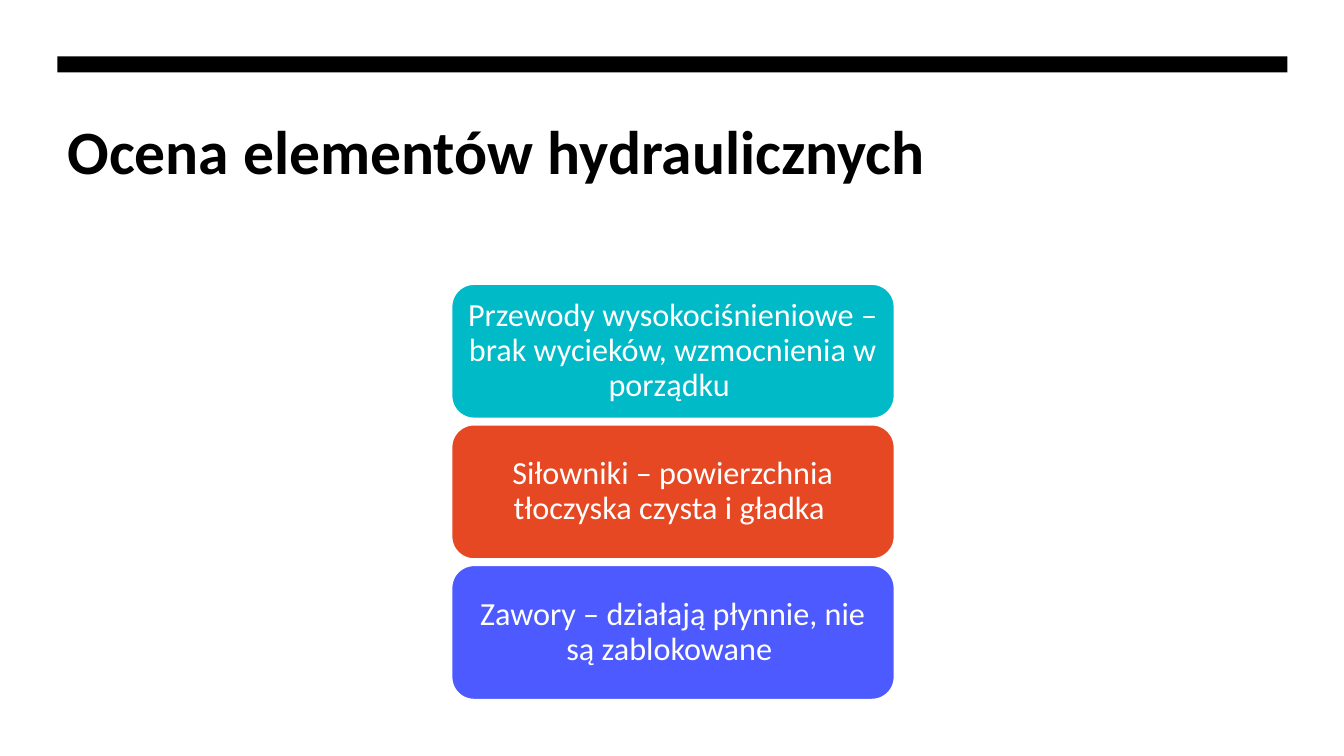
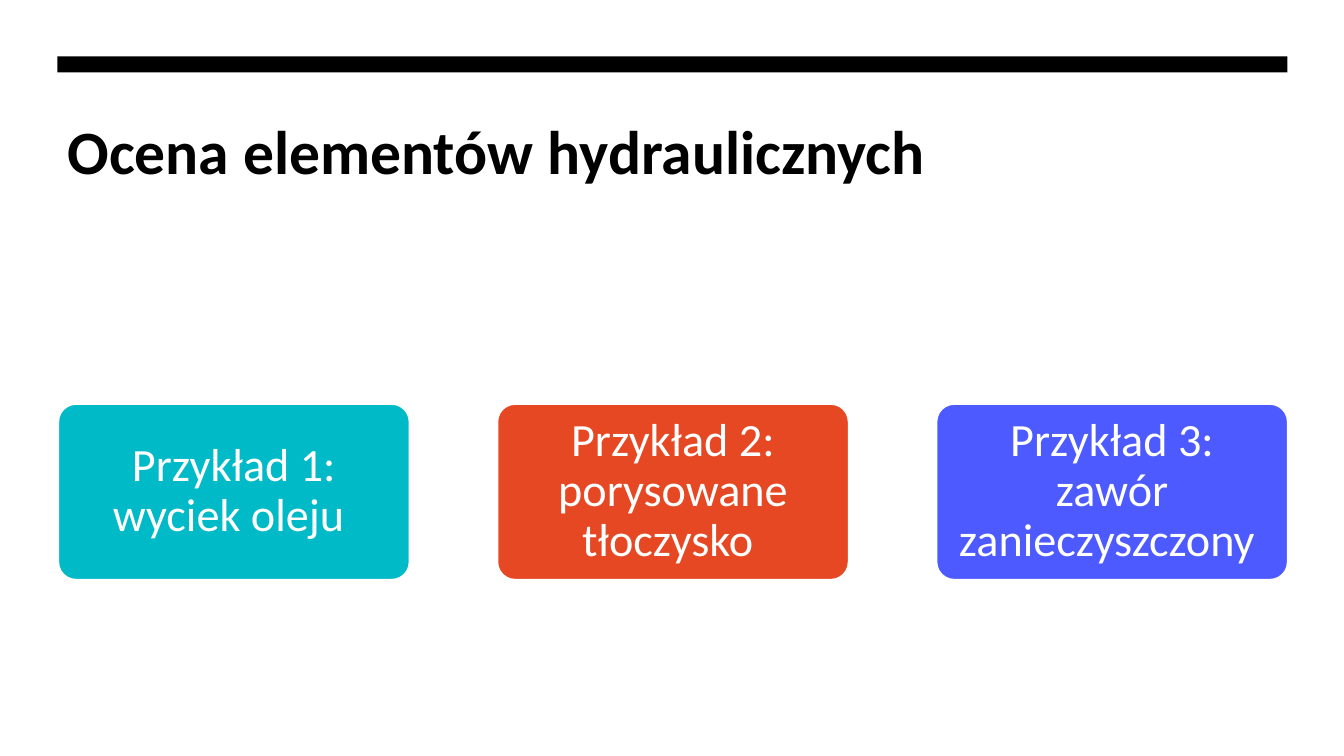
from pptx import Presentation
from pptx.dml.color import RGBColor
from pptx.enum.shapes import MSO_SHAPE
from pptx.enum.text import MSO_ANCHOR, MSO_AUTO_SIZE, PP_ALIGN
from pptx.util import Inches, Pt

# Content
TITLE = "Ocena elementów hydraulicznych"
CHECKS = [
    "Przewody wysokociśnieniowe – brak wycieków, wzmocnienia w porządku ",
    "Siłowniki – powierzchnia tłoczyska czysta i gładka ",
    "Zawory – działają płynnie, nie są zablokowane ",
]
EXAMPLES = [
    "Przykład 1: wyciek oleju ",
    "Przykład 2: porysowane tłoczysko ",
    "Przykład 3: zawór zanieczyszczony ",
]

# Each layout: first card's corner, card size, step to the next card
SLIDES = [
    dict(cards=CHECKS, start=(4.48, 2.82), size=(4.39, 1.33), step=(0, 1.395),
         corner=0.1667, font_size=23, side_inset=0.1),
    dict(cards=EXAMPLES, start=(0.58, 4.01), size=(3.48, 1.74), step=(4.355, 0),
         corner=0.1, font_size=33, side_inset=0.07),
]

# Shared style
FONT = "Calibri"
BLACK, WHITE = "000000", "FFFFFF"
CARD_COLOURS = ["00BAC8", "E64823", "4D5AFF"]
MARGIN, CONTENT_WIDTH = 0.57, 12.2


def colour(hex_code):
    return RGBColor.from_string(hex_code)


def write(paragraph, text, size, hex_code, bold=False):
    run = paragraph.add_run()
    run.text = text
    run.font.name = FONT
    run.font.size = Pt(size)
    run.font.bold = bold
    run.font.color.rgb = colour(hex_code)


def add_block(slide, preset, left, top, width, height, fill):
    block = slide.shapes.add_shape(
        preset, Inches(left), Inches(top), Inches(width), Inches(height))
    block.shadow.inherit = False
    block.fill.solid()
    block.fill.fore_color.rgb = colour(fill)
    block.line.fill.background()
    return block


def add_heading(slide):
    title = slide.shapes.title
    title.left, title.top = Inches(MARGIN), Inches(1.07)
    title.width, title.height = Inches(CONTENT_WIDTH), Inches(1.6)
    frame = title.text_frame
    frame.auto_size = MSO_AUTO_SIZE.NONE
    frame.vertical_anchor = MSO_ANCHOR.TOP
    frame.paragraphs[0].alignment = PP_ALIGN.LEFT
    write(frame.paragraphs[0], TITLE, 44, BLACK, bold=True)
    add_block(slide, MSO_SHAPE.RECTANGLE, MARGIN, 0.56, CONTENT_WIDTH, 0.16, BLACK)


def add_cards(slide, cards, start, size, step, corner, font_size, side_inset):
    for index, (text, fill) in enumerate(zip(cards, CARD_COLOURS)):
        left = start[0] + index * step[0]
        top = start[1] + index * step[1]
        card = add_block(slide, MSO_SHAPE.ROUNDED_RECTANGLE, left, top, *size, fill)
        card.adjustments[0] = corner
        card.line.color.rgb = colour(WHITE)
        card.line.width = Pt(1)
        frame = card.text_frame
        frame.word_wrap = True
        frame.vertical_anchor = MSO_ANCHOR.MIDDLE
        frame.margin_left = frame.margin_right = Inches(side_inset)
        frame.margin_top = frame.margin_bottom = Inches(0.05)
        paragraph = frame.paragraphs[0]
        paragraph.alignment = PP_ALIGN.CENTER
        paragraph.line_spacing = 0.9
        write(paragraph, text, font_size, WHITE)


def main():
    deck = Presentation()
    deck.slide_width, deck.slide_height = Inches(13.33), Inches(7.5)
    title_only = deck.slide_layouts[5]
    for content in SLIDES:
        slide = deck.slides.add_slide(title_only)
        add_heading(slide)
        add_cards(slide, **content)
    deck.save("out.pptx")


if __name__ == "__main__":
    main()
